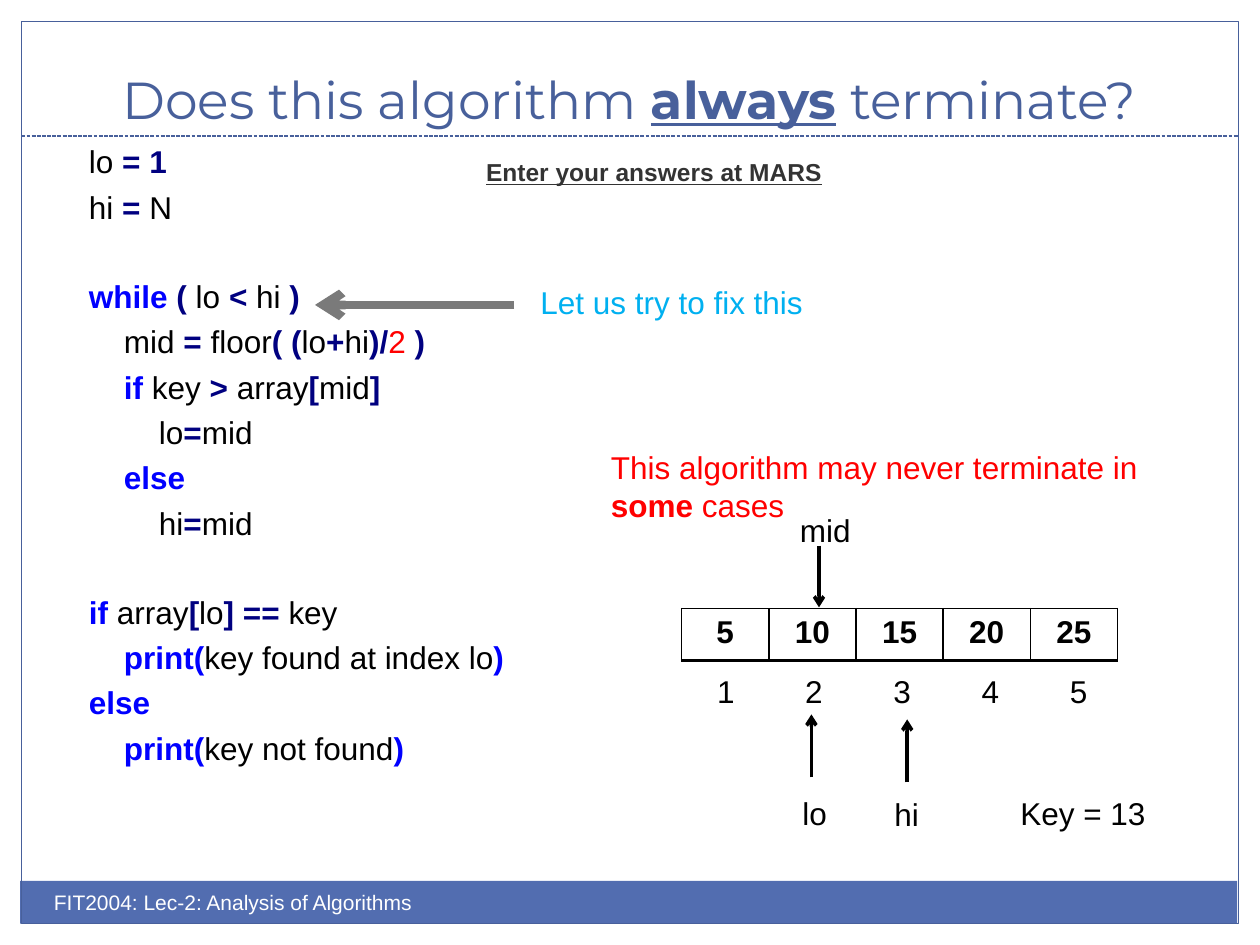
"""Build a lecture slide asking whether a binary search always terminates."""
from lxml import etree
from pptx import Presentation
from pptx.dml.color import RGBColor
from pptx.enum.dml import MSO_LINE
from pptx.enum.shapes import MSO_CONNECTOR, MSO_SHAPE
from pptx.enum.text import MSO_ANCHOR, PP_ALIGN
from pptx.oxml.ns import qn
from pptx.util import Inches, Pt

RECTANGLE = MSO_SHAPE.RECTANGLE
STRAIGHT = MSO_CONNECTOR.STRAIGHT
DASHED = MSO_LINE.SQUARE_DOT
CENTER = PP_ALIGN.CENTER
LEFT = PP_ALIGN.LEFT
TOP = MSO_ANCHOR.TOP
BOTTOM = MSO_ANCHOR.BOTTOM

THEME = {
    "body_font": "Arial", "title_font": "Montserrat",
    "title_size": 29.7, "body_size": 18, "note_size": 14, "footer_size": 12,
    "frame": "48609B", "bar": "526DB0", "white": "FFFFFF", "black": "000000",
    "keyword": "0000FF", "operator": "000080", "red": "FF0000",
    "cyan": "00B0F0", "note": "333333", "gray": "7A7A7A",
}
CODE_STYLES = {
    "p": ("black", False), "o": ("operator", True),
    "k": ("keyword", True), "n": ("red", False),
}
LINE_GAP, BLANK_LINE_GAP = 4.3, 29.4

CODE = [
    [[("p", "    lo "), ("o", "= 1")],
     [("p", "    hi "), ("o", "= "), ("p", "N")]],
    [[("k", "    while "), ("o", "( "), ("p", "lo "), ("o", "<"), ("p", " hi "), ("o", ")")],
     [("p", "        mid "), ("o", "="), ("p", " floor"), ("o", "( ("), ("p", "lo"),
      ("o", "+"), ("p", "hi"), ("o", ")/"), ("n", "2 "), ("o", ")")],
     [("k", "        if"), ("p", " key "), ("o", ">"), ("p", " array"), ("o", "["),
      ("p", "mid"), ("o", "]")],
     [("p", "            lo"), ("o", "="), ("p", "mid")],
     [("k", "        else")],
     [("p", "            hi"), ("o", "="), ("p", "mid")]],
    [[("k", "    if"), ("p", " array"), ("o", "["), ("p", "lo"), ("o", "] =="), ("p", " key")],
     [("k", "        print("), ("p", "key found at index lo"), ("k", ")")],
     [("k", "    else")],
     [("k", "        print("), ("p", "key not found"), ("k", ")")]],
]

TITLE = [("Does this algorithm ", False), ("always", True), (" terminate?", False)]
WARNING = [("This algorithm may never terminate in ", False), ("some", True), (" cases", False)]
FOOTER = "FIT2004: Lec-2: Analysis of Algorithms"
NOTE = "Enter your answers at MARS"
HINT = "Let us try to fix this"

VALUES = ["5", "10", "15", "20", "25"]
INDEXES = ["1", "2", "3", "4", "5"]
LABELS = [
    ("lo", (62.7, 83.33, 4, 5.33)),
    ("hi", (70, 83.47, 4, 5.33)),
    ("Key = 13", (80, 83.33, 12, 5.33)),
    ("mid", (62.5, 53.47, 6.1, 5.33)),
]
ARROWS = [
    ((40.8, 32.27), (25, 32.27), "gray", 5),
    ((64.4, 82.27), (64.4, 75.6), "black", 2),
    ((72, 82.8), (72, 76.13), "black", 2),
    ((65, 57.73), (65, 64.27), "black", 2),
]
CELL_BORDERS = {"a:lnL": 1, "a:lnR": 1, "a:lnT": 1, "a:lnB": 2}

presentation = Presentation()
presentation.slide_width, presentation.slide_height = Inches(10), Inches(7.5)
slide = presentation.slides.add_slide(presentation.slide_layouts[6])


def color(name):
    return RGBColor.from_string(THEME[name])


def place(*percents):
    sides = (presentation.slide_width, presentation.slide_height) * 2
    return [round(side * percent / 100) for side, percent in zip(sides, percents)]


def style(font, color_name, size="body_size", family="body_font"):
    font.name, font.size = THEME[family], Pt(THEME[size])
    font.color.rgb = color(color_name)


def add_box(box, wrap=True, anchor=TOP):
    frame = slide.shapes.add_textbox(*place(*box)).text_frame
    frame.word_wrap, frame.vertical_anchor = wrap, anchor
    return frame


def add_text(box, runs, color_name, size="body_size", family="body_font",
             align=LEFT, wrap=True, anchor=TOP, underline=False):
    paragraph = add_box(box, wrap, anchor).paragraphs[0]
    paragraph.alignment = align
    style(paragraph.font, color_name, size, family)
    for text, strong in runs:
        run = paragraph.add_run()
        run.text = text
        style(run.font, color_name, size, family)
        if strong:
            run.font.bold = True
            run.font.underline = underline
    return paragraph


def add_rectangle(box, fill=None, line=None):
    shape = slide.shapes.add_shape(RECTANGLE, *place(*box))
    shape.shadow.inherit = False
    if fill:
        shape.fill.solid()
        shape.fill.fore_color.rgb = color(fill)
    else:
        shape.fill.background()
    if line:
        shape.line.color.rgb, shape.line.width = color(line), Pt(0.75)
    else:
        shape.line.fill.background()


def add_line(start, end, color_name, width, arrow=False, dash=None):
    connector = slide.shapes.add_connector(STRAIGHT, *place(*start, *end))
    line = connector.line
    line.color.rgb, line.width = color(color_name), Pt(width)
    if dash:
        line.dash_style = dash
    if arrow:
        etree.SubElement(line._get_or_add_ln(), qn("a:tailEnd"), type="arrow")
    etree.SubElement(connector._element.spPr, qn("a:effectLst"))


def add_border(cell):
    properties = cell._tc.get_or_add_tcPr()
    for position, (tag, width) in enumerate(CELL_BORDERS.items()):
        line = etree.Element(qn(tag), w=str(Pt(width)))
        fill = etree.SubElement(line, qn("a:solidFill"))
        etree.SubElement(fill, qn("a:srgbClr"), val=THEME["black"])
        properties.insert(position, line)


def add_row(box, texts, boxed):
    table = slide.shapes.add_table(1, len(texts), *place(*box)).table
    table.first_row = table.horz_banding = False
    for cell, text in zip(table.iter_cells(), texts):
        cell.text = text
        cell.fill.background()
        paragraph = cell.text_frame.paragraphs[0]
        paragraph.alignment = CENTER
        style(paragraph.font, "black")
        paragraph.font.bold = boxed
        if boxed:
            add_border(cell)


def add_code(box):
    frame = add_box(box)
    lines = [(row, line) for block in CODE for row, line in enumerate(block)]
    for number, (row, line) in enumerate(lines):
        paragraph = frame.add_paragraph() if number else frame.paragraphs[0]
        if number:
            paragraph.space_before = Pt(LINE_GAP if row else BLANK_LINE_GAP)
        for kind, text in line:
            color_name, bold = CODE_STYLES[kind]
            run = paragraph.add_run()
            run.text = text
            style(run.font, color_name)
            run.font.bold = bold


add_rectangle((1.6, 93.2, 96.6, 4.53), fill="bar")
add_rectangle((1.7, 2.27, 96.6, 95.47), line="frame")
add_line((1.7, 14.4), (98.3, 14.4), "frame", 0.75, dash=DASHED)
add_text((3.3, 3.33, 93.3, 11.07), TITLE, "frame", "title_size", "title_font",
         CENTER, anchor=BOTTOM, underline=True)
add_text((3.3, 93.47, 50, 5.33), [(FOOTER, False)], "white", "footer_size")
add_code((3.3, 14.4, 44.2, 66.67))
add_text((47.5, 46.8, 50.2, 6.67), WARNING, "red")
add_row((54.1, 64.4, 34.6, 5.47), VALUES, True)
add_row((54.1, 70.8, 35, 5.47), INDEXES, False)
for start, end, color_name, width in ARROWS:
    add_line(start, end, color_name, width, arrow=True)
for text, box in LABELS:
    add_text(box, [(text, False)], "black", wrap=False)
add_text((41.9, 29.33, 50.2, 6.67), [(HINT, False)], "cyan")
note = add_text((37.6, 14.67, 60, 6.67), [(NOTE, True)], "note", "note_size", underline=True)
note.line_spacing = 1.43
presentation.save("out.pptx")
